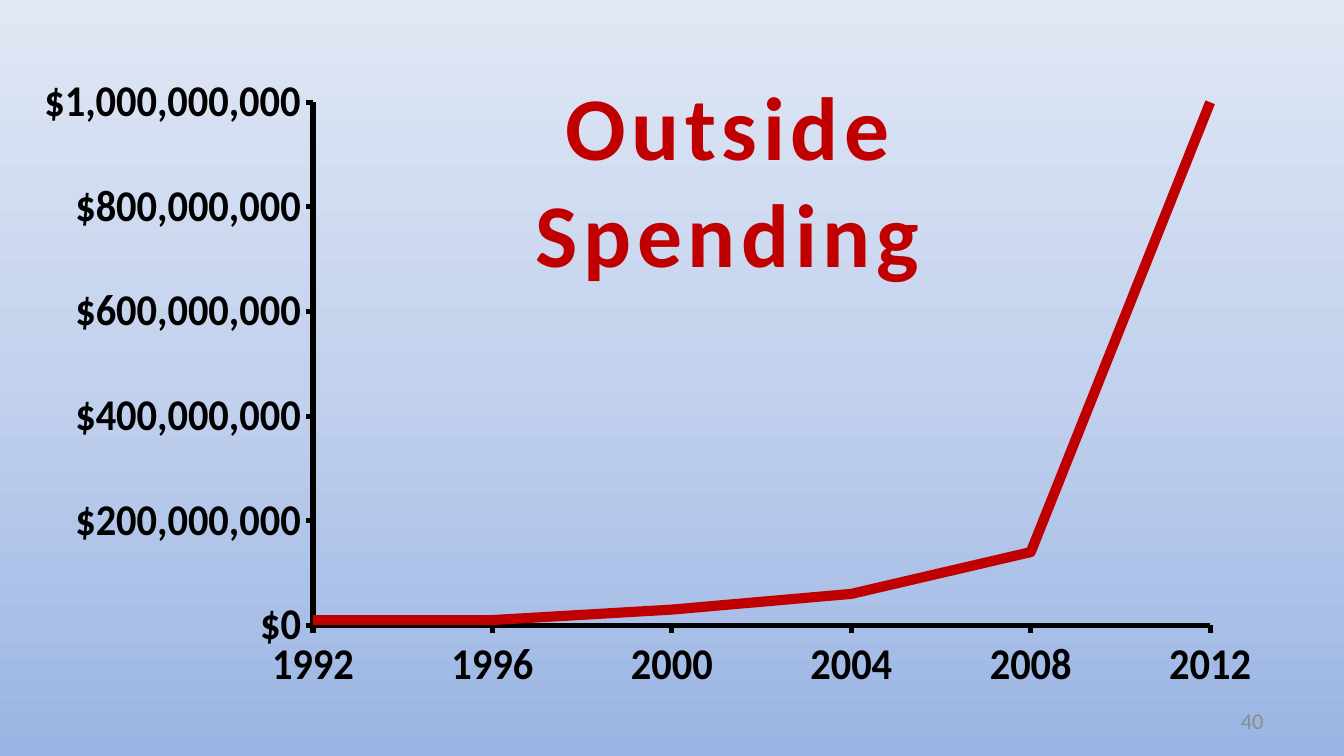
from copy import deepcopy

from lxml import etree
from pptx import Presentation
from pptx.chart.data import XyChartData
from pptx.dml.color import RGBColor
from pptx.enum.chart import XL_CHART_TYPE, XL_MARKER_STYLE, XL_TICK_MARK
from pptx.enum.text import MSO_ANCHOR, PP_ALIGN
from pptx.oxml.ns import qn
from pptx.util import Inches, Pt

LINES = XL_CHART_TYPE.XY_SCATTER_LINES_NO_MARKERS
NO_MARKER = XL_MARKER_STYLE.NONE
OUTSIDE, NO_TICK = XL_TICK_MARK.OUTSIDE, XL_TICK_MARK.NONE
CENTER, RIGHT = PP_ALIGN.CENTER, PP_ALIGN.RIGHT
TOP, MIDDLE = MSO_ANCHOR.TOP, MSO_ANCHOR.MIDDLE

BLACK = RGBColor(0x00, 0x00, 0x00)
RED = RGBColor(0xC0, 0x00, 0x00)
GRAY = RGBColor(0x8C, 0x8C, 0x8C)
BACKGROUND = [(0, RGBColor(0x9A, 0xB5, 0xE4)),
              (0.5, RGBColor(0xC2, 0xD1, 0xED)),
              (1, RGBColor(0xE1, 0xE8, 0xF5))]

FONT = "Calibri"
WIDTH = Inches(10)
HEIGHT = WIDTH * 9 // 16
MILLION = 1_000_000
FIRST_YEAR, LAST_YEAR, YEAR_STEP = 1992, 2012, 4
SPENDING_MILLIONS = [10, 10, 30, 60, 140, 1000]
PLOT_AREA = {"x": 0.138, "y": 0.04, "w": 0.822, "h": 0.869}


def place(left, top, width, height):
    """Turn shares of the slide into a box in slide units."""
    return (int(left * WIDTH), int(top * HEIGHT),
            int(width * WIDTH), int(height * HEIGHT))


def set_background(slide):
    fill = slide.background.fill
    fill.gradient()
    fill.gradient_angle = 90
    stop_list = slide.element.find(".//" + qn("a:gsLst"))
    stop_list.insert(1, deepcopy(stop_list[0]))
    for stop, (position, color) in zip(fill.gradient_stops, BACKGROUND):
        stop.position = position
        stop.color.rgb = color


def add_text(slide, text, box, *, size, color, bold=False, align=CENTER,
             anchor=TOP, spacing=0):
    """Add one paragraph per line of text; spacing is between letters, in points."""
    frame = slide.shapes.add_textbox(*box).text_frame
    frame.word_wrap = True
    frame.vertical_anchor = anchor
    frame.text = text
    for paragraph in frame.paragraphs:
        paragraph.alignment = align
        run = paragraph.runs[0]
        run.font.name, run.font.size, run.font.bold = FONT, Pt(size), bold
        run.font.color.rgb = color
        if spacing:
            run.font._element.set("spc", str(spacing * 100))


def style_axis(axis, minimum, maximum, step, number_format):
    axis.minimum_scale, axis.maximum_scale = minimum, maximum
    axis.major_unit = step
    axis.has_major_gridlines = False
    axis.major_tick_mark, axis.minor_tick_mark = OUTSIDE, NO_TICK
    axis.tick_labels.number_format = number_format
    axis.tick_labels.number_format_is_linked = False
    axis.format.line.color.rgb = BLACK
    axis.format.line.width = Pt(3)


def set_plot_area(chart):
    """Fix the inner plot area as shares of the chart."""
    plot_area = chart._chartSpace.chart.plotArea
    for layout in plot_area.findall(qn("c:layout")):
        plot_area.remove(layout)
    layout = etree.Element(qn("c:layout"))
    manual = etree.SubElement(layout, qn("c:manualLayout"))
    settings = {"layoutTarget": "inner", "xMode": "edge", "yMode": "edge",
                **PLOT_AREA}
    for name, value in settings.items():
        etree.SubElement(manual, qn("c:" + name)).set("val", str(value))
    plot_area.insert(0, layout)


def add_spending_chart(slide, box):
    data = XyChartData()
    points = data.add_series("Series 1")
    years = range(FIRST_YEAR, LAST_YEAR + 1, YEAR_STEP)
    for year, millions in zip(years, SPENDING_MILLIONS):
        points.add_data_point(year, millions * MILLION)
    chart = slide.shapes.add_chart(LINES, *box, data).chart
    chart.has_legend = chart.has_title = False
    chart.font.name, chart.font.size, chart.font.bold = FONT, Pt(24), True
    chart.font.color.rgb = BLACK
    style_axis(chart.category_axis, FIRST_YEAR, LAST_YEAR, YEAR_STEP, "General")
    style_axis(chart.value_axis, 0, 1000 * MILLION, 200 * MILLION, '"$"#,##0')
    chart.plots[0].vary_by_categories = False
    series = chart.plots[0].series[0]
    series.smooth = False
    series.marker.style = NO_MARKER
    series.format.line.color.rgb = RED
    series.format.line.width = Pt(6)
    set_plot_area(chart)


def main():
    presentation = Presentation()
    presentation.slide_width, presentation.slide_height = WIDTH, HEIGHT
    slide = presentation.slides.add_slide(presentation.slide_layouts[6])
    set_background(slide)
    add_spending_chart(slide, place(0.033, 0.1, 0.9, 0.815))
    add_text(slide, "40", place(0.717, 0.927, 0.233, 0.053), size=12,
             color=GRAY, align=RIGHT, anchor=MIDDLE)
    add_text(slide, "Outside\nSpending", place(0.2, 0.085, 0.683, 0.306),
             size=48, color=RED, bold=True, spacing=3)
    presentation.save("out.pptx")


if __name__ == "__main__":
    main()
